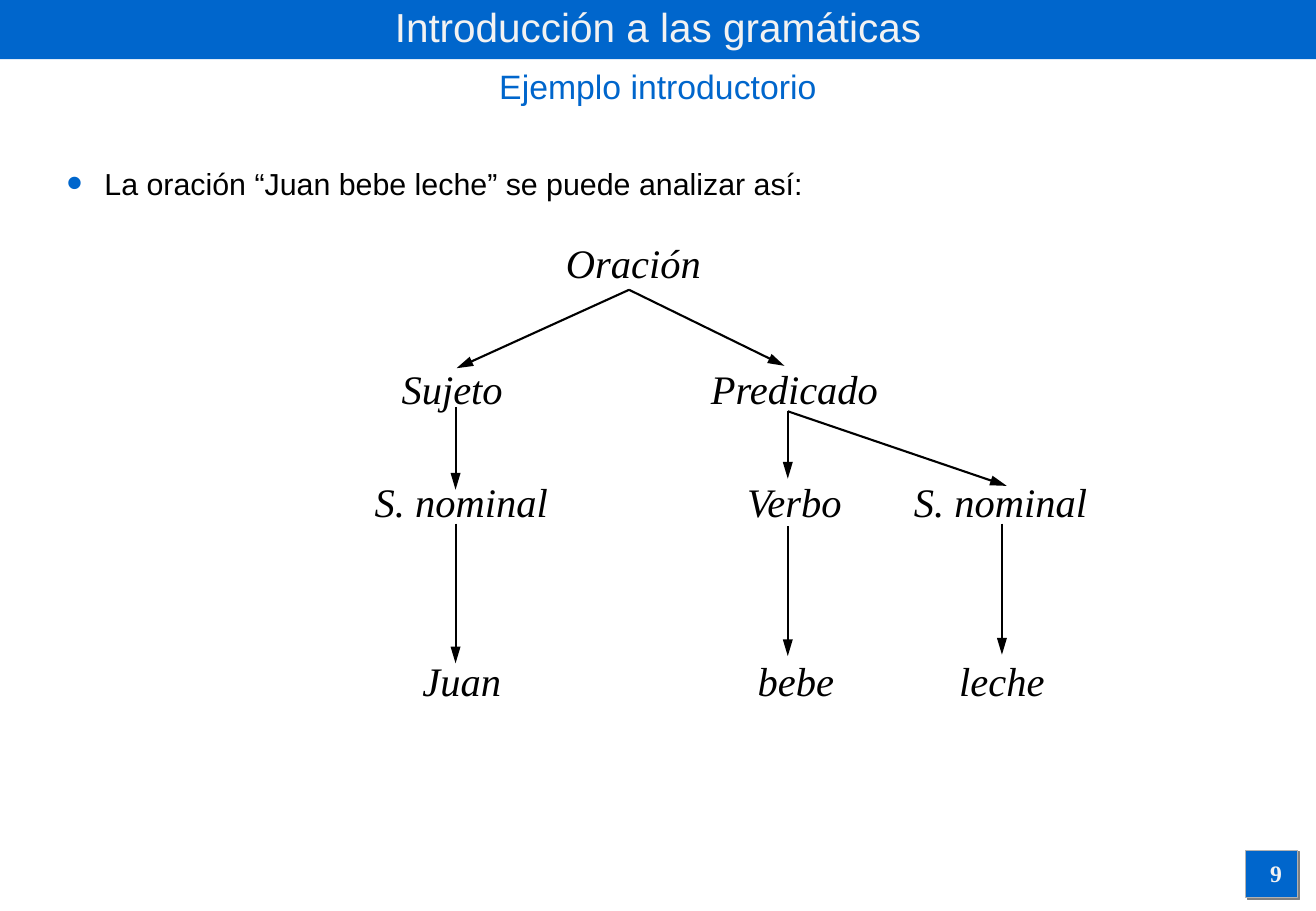
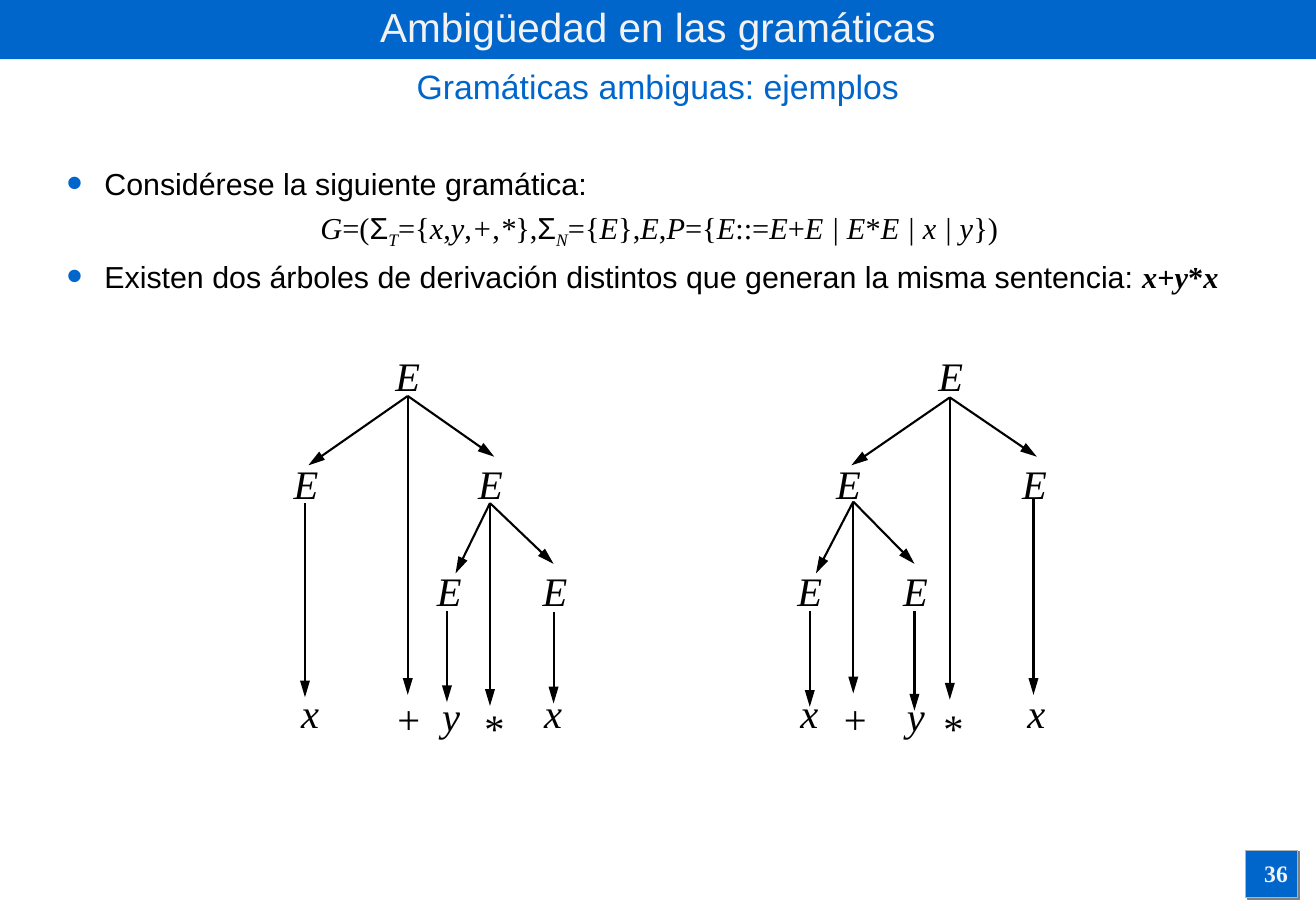
"""Builds two slides on grammars, with syntax and derivation trees."""
import lxml.etree
import pptx
import pptx.dml.color
import pptx.enum.shapes
import pptx.enum.text
import pptx.oxml.ns
import pptx.util

Cm = pptx.util.Cm
Pt = pptx.util.Pt
qn = pptx.oxml.ns.qn
SubElement = lxml.etree.SubElement
RGBColor = pptx.dml.color.RGBColor
MSO_AUTO_SIZE = pptx.enum.text.MSO_AUTO_SIZE
CENTER = pptx.enum.text.PP_ALIGN.CENTER

BLUE = RGBColor(0x00, 0x66, 0xCC)
PALE = RGBColor(0xF2, 0xF2, 0xF2)
BLACK = RGBColor(0x00, 0x00, 0x00)
SILVER = RGBColor(0xB2, 0xB2, 0xB2)
GRAY = RGBColor(0x80, 0x80, 0x80)
SANS = "Arial"
SERIF = "Times New Roman"

PLAIN = dict()
ROMAN = dict(font=SERIF)
ITALIC = dict(font=SERIF, italic=True)
SUBSCRIPT = dict(font=SERIF, italic=True, baseline=-25000)
BOLD = dict(font=SERIF, bold=True)
BOLD_ITALIC = dict(font=SERIF, bold=True, italic=True)

WIDTHS = {
    "Oración": 3.33, "Sujeto": 2.62, "Predicado": 4.04, "Verbo": 2.57, "S. nominal": 4.2,
    "Juan": 2.16, "bebe": 2.11, "leche": 2.29, "E": 1.02, "x": 0.89, "y": 0.89, "+": 0.99, "*": 0.91,
}
NODE_HEIGHT = 1.27
PHRASE, CATEGORY, WORD = 7.49, 9.86, 13.59
ROOT, BRANCH, TWIG = 7.21, 9.47, 11.72
LETTER, Y_TOP, PLUS_TOP, STAR_TOP = 14.26, 14.33, 14.38, 14.58

SLIDES = [
    dict(
        title="Introducción a las gramáticas",
        subtitle="Ejemplo introductorio",
        number="9",
        body=[(True, [("La oración “Juan bebe leche” se puede analizar así:", PLAIN)])],
        nodes=[
            ("Oración", 13.25, 4.85),
            ("Sujeto", 9.46, PHRASE), ("Predicado", 16.62, PHRASE),
            ("S. nominal", 9.65, CATEGORY), ("Verbo", 16.62, CATEGORY), ("S. nominal", 20.93, CATEGORY),
            ("Juan", 9.66, WORD), ("bebe", 16.65, WORD), ("leche", 20.96, WORD),
        ],
        forks=[
            ((13.16, 6.06), [(9.55, 7.7), (16.41, 7.65)]),
            ((9.53, 8.51), [(9.53, 10.24)]),
            ((16.48, 8.6), [(16.48, 10.01), (21.06, 10.16)]),
            ((9.53, 10.95), [(9.53, 13.87)]),
            ((16.48, 11), [(16.48, 13.72)]),
            ((20.96, 10.95), [(20.96, 13.69)]),
        ],
    ),
    dict(
        title="Ambigüedad en las gramáticas",
        subtitle="Gramáticas ambiguas: ejemplos",
        number="36",
        body=[
            (True, [("Considérese la siguiente gramática:", PLAIN)]),
            (False, [
                ("G", ITALIC), ("=(", ROMAN), ("Σ", PLAIN), ("T", SUBSCRIPT), ("={", ROMAN),
                ("x", ITALIC), (",", ROMAN), ("y", ITALIC), (",", ROMAN), ("+", ITALIC),
                (",", ROMAN), ("*", ITALIC), ("},", ROMAN), ("Σ", PLAIN), ("N", SUBSCRIPT),
                ("={", ROMAN), ("E", ITALIC), ("},", ROMAN), ("E", ITALIC), (",", ROMAN),
                ("P", ITALIC), ("={", ROMAN), ("E", ITALIC), ("::=", ROMAN), ("E", ITALIC),
                ("+", ROMAN), ("E | E", ITALIC), ("*", ROMAN), ("E | x | y", ITALIC), ("})", ROMAN),
            ]),
            (True, [
                ("Existen dos árboles de derivación distintos que generan la misma sentencia: ", PLAIN),
                ("x", BOLD_ITALIC), ("+", BOLD), ("y", BOLD_ITALIC), ("*", BOLD), ("x", BOLD_ITALIC),
            ]),
        ],
        nodes=[
            ("E", 8.53, ROOT), ("E", 6.4, BRANCH), ("E", 10.26, BRANCH),
            ("E", 9.4, TWIG), ("E", 11.61, TWIG),
            ("x", 6.49, LETTER), ("+", 8.55, PLUS_TOP), ("y", 9.44, Y_TOP),
            ("*", 10.34, STAR_TOP), ("x", 11.57, LETTER),
            ("E", 19.89, ROOT), ("E", 17.75, BRANCH), ("E", 21.64, BRANCH),
            ("E", 16.94, TWIG), ("E", 19.15, TWIG),
            ("x", 16.93, LETTER), ("+", 17.89, PLUS_TOP), ("y", 19.16, Y_TOP),
            ("*", 19.94, STAR_TOP), ("x", 21.68, LETTER),
        ],
        forks=[
            ((8.53, 8.28), [(6.45, 9.73), (8.53, 14.53), (10.34, 9.55)]),
            ((6.38, 10.52), [(6.38, 14.58)]),
            ((10.25, 10.52), [(9.53, 11.99), (10.25, 14.76), (11.58, 11.79)]),
            ((9.35, 12.78), [(9.35, 14.68)]),
            ((11.58, 12.8), [(11.58, 14.71)]),
            ((19.87, 8.31), [(17.81, 9.73), (19.87, 14.63), (21.69, 9.55)]),
            ((17.85, 10.49), [(17.07, 11.99), (17.85, 14.5), (19.13, 11.79)]),
            ((21.62, 10.44), [(21.62, 14.53)]),
            ((16.94, 12.78), [(16.94, 14.78)]),
            ((19.13, 12.78), [(19.13, 14.86)]),
        ],
    ),
]


def write(paragraph, text, size=18, color=BLACK, font=SANS, bold=False, italic=False, baseline=0, align=None):
    """Add a formatted run to a paragraph."""
    if align is not None:
        paragraph.alignment = align
    run = paragraph.add_run()
    run.text = text
    run.font.size = Pt(size)
    run.font.color.rgb = color
    run.font.name = font
    run.font.bold = bold
    run.font.italic = italic
    if baseline:
        run.font._element.set("baseline", str(baseline))


def add_label(slide, text, left, top, width, height, wrap=True, **style):
    """Add a centred text box with one line of text."""
    label = slide.shapes.add_textbox(Cm(left), Cm(top), Cm(width), Cm(height))
    label.text_frame.word_wrap = wrap
    label.text_frame.auto_size = MSO_AUTO_SIZE.NONE if wrap else MSO_AUTO_SIZE.SHAPE_TO_FIT_TEXT
    write(label.text_frame.paragraphs[0], text, align=CENTER, **style)


deck = pptx.Presentation()
deck.slide_width, deck.slide_height = Cm(27.53), Cm(19.05)
layout = deck.slide_layouts[1]
for placeholder, (left, top, width, height) in zip(
        layout.placeholders, [(0, 0, 27.53, 1.12), (1.14, 3.32, 25.3, 2.97)]):
    placeholder.left, placeholder.top = Cm(left), Cm(top)
    placeholder.width, placeholder.height = Cm(width), Cm(height)

slides = [deck.slides.add_slide(layout) for content in SLIDES]

rectangle = pptx.enum.shapes.MSO_SHAPE.RECTANGLE
title_band = slides[0].shapes.add_shape(rectangle, 0, 0, deck.slide_width, Cm(1.24))
number_badge = slides[0].shapes.add_shape(rectangle, Cm(26.06), Cm(17.78), Cm(1.09), Cm(0.99))
for shape_id, block in enumerate([title_band, number_badge], 101):
    block.shadow.inherit = False
    block.fill.solid()
    block.fill.fore_color.rgb = BLUE
    block.element.nvSpPr.cNvPr.set("id", str(shape_id))
    deck.slide_master.shapes.element.insert(2, block.element)
title_band.line.fill.background()
number_badge.line.color.rgb = SILVER
number_badge.line.width = Pt(0.75)
badge_effects = number_badge.element.spPr.find(qn("a:effectLst"))
badge_shadow = SubElement(badge_effects, qn("a:outerShdw"), dist=str(Pt(1.4)), dir="2700000")
SubElement(badge_shadow, qn("a:srgbClr"), val=str(GRAY))

for slide, content in zip(slides, SLIDES):
    title, body = slide.shapes.title.text_frame, slide.placeholders[1].text_frame
    title.auto_size = body.auto_size = MSO_AUTO_SIZE.NONE
    write(title.paragraphs[0], content["title"], size=24, color=PALE, align=CENTER)
    add_label(slide, content["subtitle"], 0, 1.25, 27.53, 1.12, size=20, color=BLUE)

    for index, (bulleted, pieces) in enumerate(content["body"]):
        paragraph = body.add_paragraph() if index else body.paragraphs[0]
        properties = paragraph._p.get_or_add_pPr()
        properties.set("marL", str(Cm(0.79)))
        properties.set("indent", str(-Cm(0.79)))
        if bulleted:
            bullet_color = SubElement(properties, qn("a:buClr"))
            SubElement(bullet_color, qn("a:srgbClr"), val=str(BLUE))
            SubElement(properties, qn("a:buSzPct"), val="150000")
            SubElement(properties, qn("a:buChar"), char="•")
        else:
            SubElement(properties, qn("a:buNone"))
            paragraph.alignment = CENTER
        paragraph.space_before = Pt(4.5 if index else 0)
        for text, style in pieces:
            write(paragraph, text, **style)

    for text, center, top in content["nodes"]:
        width = WIDTHS[text]
        add_label(slide, text, center - width / 2, top, width, NODE_HEIGHT, wrap=False,
                  size=24, font=SERIF, italic=text not in "+*")

    for start, ends in content["forks"]:
        for end in ends:
            arrow = slide.shapes.add_connector(
                pptx.enum.shapes.MSO_CONNECTOR.STRAIGHT, *map(Cm, start + end))
            arrow.line.color.rgb = BLACK
            arrow.line.width = Pt(1.25)
            outline = arrow.element.spPr
            SubElement(outline.find(qn("a:ln")), qn("a:tailEnd"), type="triangle", len="lg")
            SubElement(outline, qn("a:effectLst"))

    add_label(slide, content["number"], 26.01, 17.83, 1.37, 0.89,
              size=14, color=PALE, font=SERIF, bold=True)

deck.save("out.pptx")
